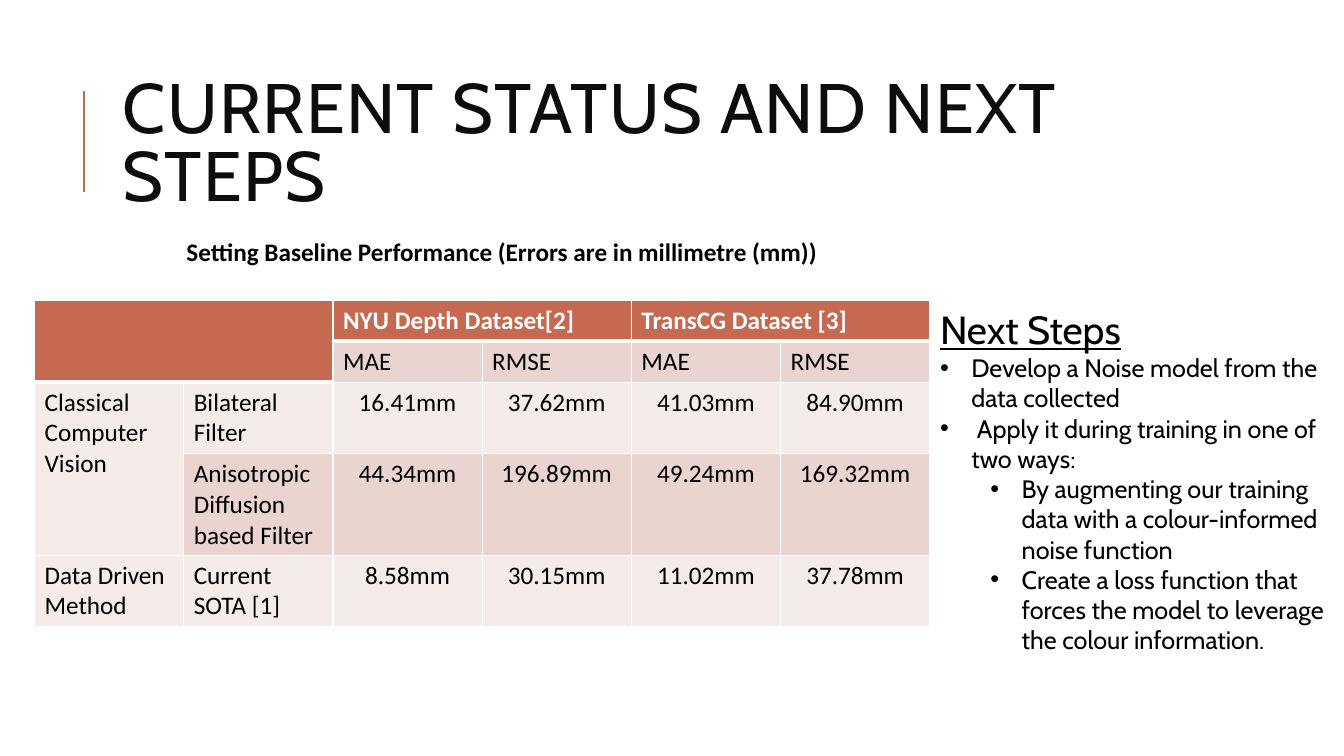
from dataclasses import dataclass

from lxml.etree import SubElement
from pptx import Presentation
from pptx.dml.color import RGBColor
from pptx.enum.shapes import MSO_CONNECTOR
from pptx.enum.text import MSO_ANCHOR, PP_ALIGN
from pptx.oxml.ns import qn
from pptx.util import Cm, Pt


@dataclass(frozen=True)
class Theme:
    accent: str = "C66951"
    band_dark: str = "EAD4D0"
    band_light: str = "F5EBE9"
    white: str = "FFFFFF"
    black: str = "000000"
    title_ink: str = "0D0D0D"
    display_font: str = "Cabin"
    body_font: str = "Calibri"
    title_size: int = 50
    heading_size: int = 28
    body_size: int = 18


theme = Theme()


def add_run(paragraph, text, font, size, color, bold=False):
    run = paragraph.add_run()
    run.text = text
    run.font.name = font
    run.font.size = Pt(size)
    run.font.bold = bold
    run.font.color.rgb = RGBColor.from_string(color)
    return run


def add_text_frame(left, top, width, height):
    frame = slide.shapes.add_textbox(Cm(left), Cm(top), Cm(width), Cm(height)).text_frame
    frame.word_wrap = True
    return frame


presentation = Presentation()
presentation.slide_width = Cm(33.87)
presentation.slide_height = Cm(19.05)
slide = presentation.slides.add_slide(presentation.slide_layouts[6])

# Accent line beside the title
accent_line = slide.shapes.add_connector(
    MSO_CONNECTOR.STRAIGHT, Cm(2.12), Cm(4.83), Cm(2.12), Cm(2.29))
accent_line.line.color.rgb = RGBColor.from_string(theme.accent)
accent_line.line.width = Pt(1.5)
SubElement(accent_line._element.spPr, qn("a:effectLst"))

# Title
title = add_text_frame(2.84, 1.63, 27, 4.17)
title.vertical_anchor = MSO_ANCHOR.MIDDLE
title.paragraphs[0].line_spacing = 0.8
title_run = add_run(title.paragraphs[0], "CURRENT STATUS AND NEXT STEPS",
                    theme.display_font, theme.title_size, theme.title_ink)
title_run.font._element.set("spc", "100")

# Table caption
caption = add_text_frame(4.45, 5.84, 16.89, 1.02)
caption.paragraphs[0].alignment = PP_ALIGN.JUSTIFY
add_run(caption.paragraphs[0], "Setting Baseline Performance (Errors are in millimetre (mm))",
        theme.body_font, theme.body_size, theme.black, bold=True)

# Next steps
next_steps = add_text_frame(23.44, 7.57, 10.72, 6.83)
heading_run = add_run(next_steps.paragraphs[0], "Next Steps",
                      theme.display_font, theme.heading_size, theme.black)
heading_run.font.underline = True

steps = [
    (0, "Develop a Noise model from the data collected"),
    (0, " Apply it during training in one of two ways:"),
    (1, "By augmenting our training data with a colour-informed noise function"),
    (1, "Create a loss function that forces the model to leverage the colour information."),
]
hanging_indent = 0.79
for level, step in steps:
    paragraph = next_steps.add_paragraph()
    paragraph.level = level
    properties = paragraph._p.get_or_add_pPr()
    properties.set("marL", str(Cm(hanging_indent + 1.27 * level)))
    properties.set("indent", str(-Cm(hanging_indent)))
    SubElement(properties, qn("a:buFont"), typeface="Arial")
    SubElement(properties, qn("a:buChar"), char="•")
    add_run(paragraph, step, theme.display_font, theme.body_size, theme.black)

# Baseline errors: None marks a cell covered by a merge
results = [
    ["", None, "NYU Depth Dataset[2]", None, "TransCG Dataset [3]", None],
    [None, None, "MAE", "RMSE", "MAE", "RMSE"],
    ["Classical Computer Vision", "Bilateral Filter",
     "16.41mm", "37.62mm", "41.03mm", "84.90mm"],
    [None, "Anisotropic Diffusion based Filter",
     "44.34mm", "196.89mm", "49.24mm", "169.32mm"],
    ["Data Driven Method", "Current SOTA [1]",
     "8.58mm", "30.15mm", "11.02mm", "37.78mm"],
]
row_heights = [1.03, 1.03, 1.8, 2.56, 1.8]
column_width = 3.76
table = slide.shapes.add_table(
    len(results), len(results[0]), Cm(0.87), Cm(7.57),
    Cm(column_width * len(results[0])), Cm(sum(row_heights))).table
for column in table.columns:
    column.width = Cm(column_width)
for row, height in zip(table.rows, row_heights):
    row.height = Cm(height)

for first, last in [((0, 0), (1, 1)), ((0, 2), (0, 3)), ((0, 4), (0, 5)), ((2, 0), (3, 0))]:
    table.cell(*first).merge(table.cell(*last))

for row_index, row_texts in enumerate(results):
    for column_index, text in enumerate(row_texts):
        cell = table.cell(row_index, column_index)
        is_header = row_index == 0 or (row_index == 1 and column_index < 2)
        is_value = row_index > 1 and column_index > 1

        # White borders, heavier below the header
        for side in ("lnL", "lnR", "lnT", "lnB"):
            weight = Pt(3) if is_header and side == "lnB" else Pt(1)
            border = SubElement(cell._tc.get_or_add_tcPr(), qn(f"a:{side}"), w=str(weight))
            border_fill = SubElement(border, qn("a:solidFill"))
            SubElement(border_fill, qn("a:srgbClr"), val=theme.white)

        band = theme.band_dark if row_index % 2 else theme.band_light
        if row_index == 3 and column_index == 0:
            band = theme.band_light
        cell.fill.solid()
        cell.fill.fore_color.rgb = RGBColor.from_string(theme.accent if is_header else band)

        if text:
            paragraph = cell.text_frame.paragraphs[0]
            paragraph.alignment = PP_ALIGN.CENTER if is_value else PP_ALIGN.LEFT
            add_run(paragraph, text, theme.body_font, theme.body_size,
                    theme.white if is_header else theme.black, bold=is_header)

presentation.save("out.pptx")
